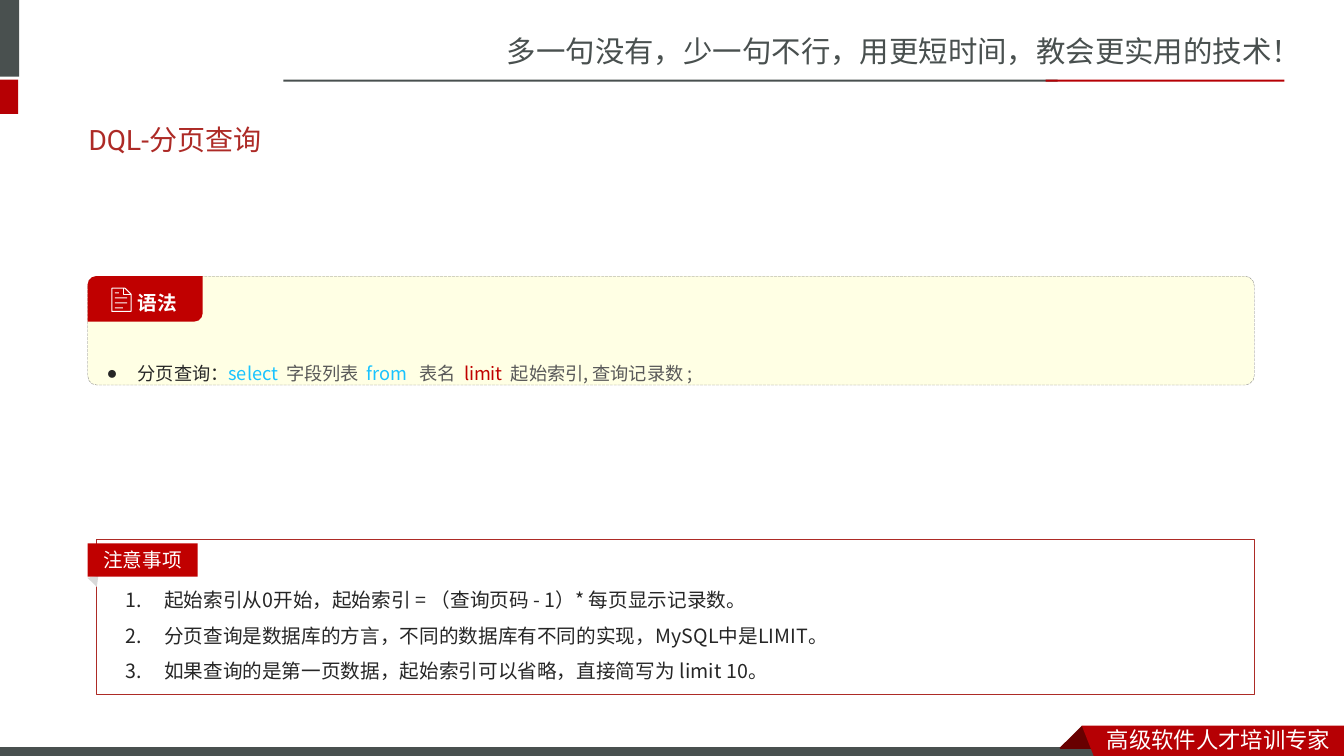
from pptx import Presentation
from pptx.dml.color import RGBColor
from pptx.enum import dml, shapes, text
from pptx.oxml.ns import qn
from pptx.util import Inches, Pt
from lxml import etree

SANS, BODY = "Noto Sans CJK SC", "Noto Sans CJK JP"
GREY, RED, DEEP, INK, WHITE = "49504F", "B60004", "C00000", "262626", "FFFFFF"
KIND = shapes.MSO_SHAPE
UNIT = Inches(0.01)  # freeform points are whole hundredths of an inch

prs = Presentation()
prs.slide_width, prs.slide_height = Inches(13.33), Inches(7.5)
slide = prs.slides.add_slide(prs.slide_layouts[6])
tree = slide.shapes


def paint(shape, fill=None, line=None, width=0.75):
    shape.shadow.inherit = False
    for part, tone in ((shape.fill, fill), (shape.line.fill, line)):
        if tone:
            part.solid()
            part.fore_color.rgb = RGBColor.from_string(tone)
        else:
            part.background()
    if line:
        shape.line.width = Pt(width)
    return shape


def style(para, size, face, tone, bullet=None, hang=0, space=None):
    para.alignment = text.PP_ALIGN.LEFT
    if space:
        para.line_spacing = space
    if bullet:
        props = para._p.get_or_add_pPr()
        props.set("marL", str(Inches(hang)))
        props.set("indent", str(-Inches(hang)))
        etree.SubElement(props, qn("a:buFont")).set("typeface", "Arial")
        tag, key = ("a:buAutoNum", "type") if bullet == "arabicPeriod" else ("a:buChar", "char")
        etree.SubElement(props, qn(tag)).set(key, bullet)
    font = para.font
    font.size, font.name = Pt(size), face
    font.color.rgb = RGBColor.from_string(tone)
    east = etree.SubElement(para._p.pPr.find(qn("a:defRPr")), qn("a:ea"))
    east.set("typeface", face)


# Header and footer bars
for x, y, w, h, tone, edge in (
    (-0.06, 0, 0.25, 0.76, GREY, None),
    (-0.06, 0.79, 0.24, 0.34, RED, None),
    (2.81, 0.79, 7.68, 0.02, GREY, None),
    (10.37, 0.79, 2.37, 0.02, RED, None),
    (-0.01, 7.41, 11, 0.12, GREY, WHITE),
):
    bar = tree.add_shape(KIND.RECTANGLE, Inches(x), Inches(y), Inches(w), Inches(h))
    paint(bar, tone, edge)

# Footer ribbon: dark fold, then red band
for tone, pts in (
    ("680000", [(1073, 720), (1095, 742), (1094, 743), (1052, 743), (1051, 742)]),
    (RED, [(1073, 720), (1333, 720), (1333, 754), (1086, 753)]),
):
    pen = tree.build_freeform(*pts[0], scale=UNIT)
    pen.add_line_segments(pts[1:], close=True)
    paint(pen.convert_to_shape(), tone)

# Note frame with its folded tag
frame = tree.add_shape(KIND.RECTANGLE, Inches(0.96), Inches(5.35), Inches(11.48), Inches(1.54))
paint(frame, line="AD2B26")
fold = tree.add_shape(KIND.ISOSCELES_TRIANGLE, Inches(0.88), Inches(5.7), Inches(0.13), Inches(0.09))
paint(fold, "D9D9D9").rotation = 44.2
tag = tree.add_shape(KIND.RECTANGLE, Inches(0.87), Inches(5.39), Inches(1.09), Inches(0.33))
paint(tag, DEEP)
para = tag.text_frame.paragraphs[0]
para.text = "注意事项"
style(para, 14, "Arial", WHITE)
para.alignment = text.PP_ALIGN.CENTER

# Text boxes: slogan, footer, title, notes
notes = [
    "起始索引从0开始，起始索引 = （查询页码 - 1）* 每页显示记录数。",
    "分页查询是数据库的方言，不同的数据库有不同的实现，MySQL中是LIMIT。",
    "如果查询的是第一页数据，起始索引可以省略，直接简写为 limit 10。",
]
for x, y, w, h, lines, look in (
    (4.93, 0.28, 8.4, 0.47, ["多一句没有，少一句不行，用更短时间，教会更实用的技术！"], (21, SANS, GREY)),
    (10.88, 7.15, 2.45, 0.37, ["高级软件人才培训专家"], (16, SANS, WHITE)),
    (0.78, 1.1, 11.76, 0.57, ["DQL-分页查询"], (20, "Roboto", "AD2A26")),
    (1.15, 5.67, 8.88, 1.12, notes, (14, BODY, INK, "arabicPeriod", 0.38, 1.5)),
):
    box = tree.add_textbox(Inches(x), Inches(y), Inches(w), Inches(h)).text_frame
    box.word_wrap = True
    if look[1] == "Roboto":
        box.vertical_anchor = text.MSO_ANCHOR.MIDDLE
    box.text = "\n".join(lines)
    for para in box.paragraphs:
        style(para, *look)

# Syntax panel
panel = tree.add_shape(KIND.ROUNDED_RECTANGLE, Inches(0.87), Inches(2.74), Inches(11.57), Inches(1.08))
paint(panel, "FFFFE4", "808080", 0.25)
panel.adjustments[0] = 0.085
panel.line.dash_style = dml.MSO_LINE.LONG_DASH
box = panel.text_frame
box.word_wrap, box.vertical_anchor = True, text.MSO_ANCHOR.TOP
box.margin_left, box.margin_top = Inches(0.16), Inches(0.39)
box.margin_right, box.margin_bottom = Inches(0.08), Inches(0.05)
para = box.paragraphs[0]
style(para, 13, BODY, INK, "●", 0.31, 3)
# Each word is followed by one space, widened by so many hundredths of a point
for word, tone, gap in (
    ("分页查询：", INK, None),
    ("select", "19C3FF", 290),
    ("字段列表", "595959", 290),
    ("from", "19C3FF", 580),
    ("表名", "595959", 290),
    ("limit", DEEP, 290),
    ("起始索引, 查询记录数 ;", "595959", None),
):
    run = para.add_run()
    run.text = word
    run.font.color.rgb = RGBColor.from_string(tone)
    if gap:
        blank = para.add_run()
        blank.text = " "
        blank._r.get_or_add_rPr().set("spc", str(gap))

# Syntax label
label = tree.add_shape(KIND.ROUND_2_DIAG_RECTANGLE, Inches(0.87), Inches(2.74), Inches(1.14), Inches(0.45))
paint(label, DEEP)
label.adjustments[0], label.adjustments[1] = 0.181, 0
box = label.text_frame
box.word_wrap = True
box.margin_left, box.margin_right = Inches(0.47), Inches(0.04)
box.margin_top, box.margin_bottom = 0, Inches(0.04)
para = box.paragraphs[0]
para.text = "语法"
style(para, 14, BODY, WHITE, space=1.5)
para.font.bold = True

# Page icon: outline, folded corner, text lines
for pts, close in (
    ([(111, 286), (124, 286), (130, 292), (130, 309), (111, 309)], True),
    ([(123, 286), (123, 292), (130, 292)], False),
):
    pen = tree.build_freeform(*pts[0], scale=UNIT)
    pen.add_line_segments(pts[1:], close=close)
    paint(pen.convert_to_shape(), line=WHITE)
for row, w in enumerate((0.04, 0.12, 0.12, 0.08)):
    dash = tree.add_shape(KIND.RECTANGLE, Inches(1.14), Inches(2.9 + 0.05 * row), Inches(w), Inches(0.01))
    paint(dash, WHITE)

prs.save("out.pptx")
